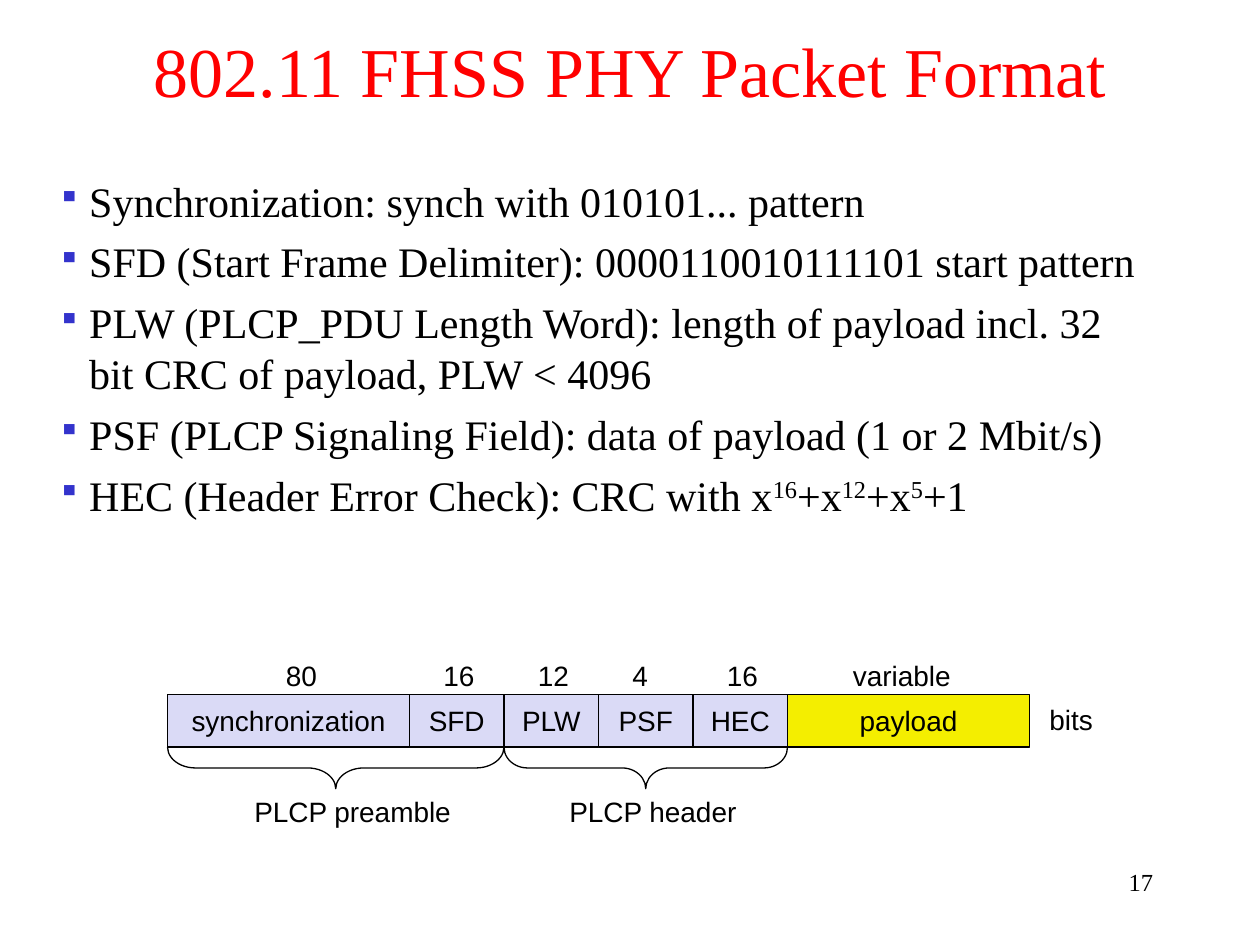
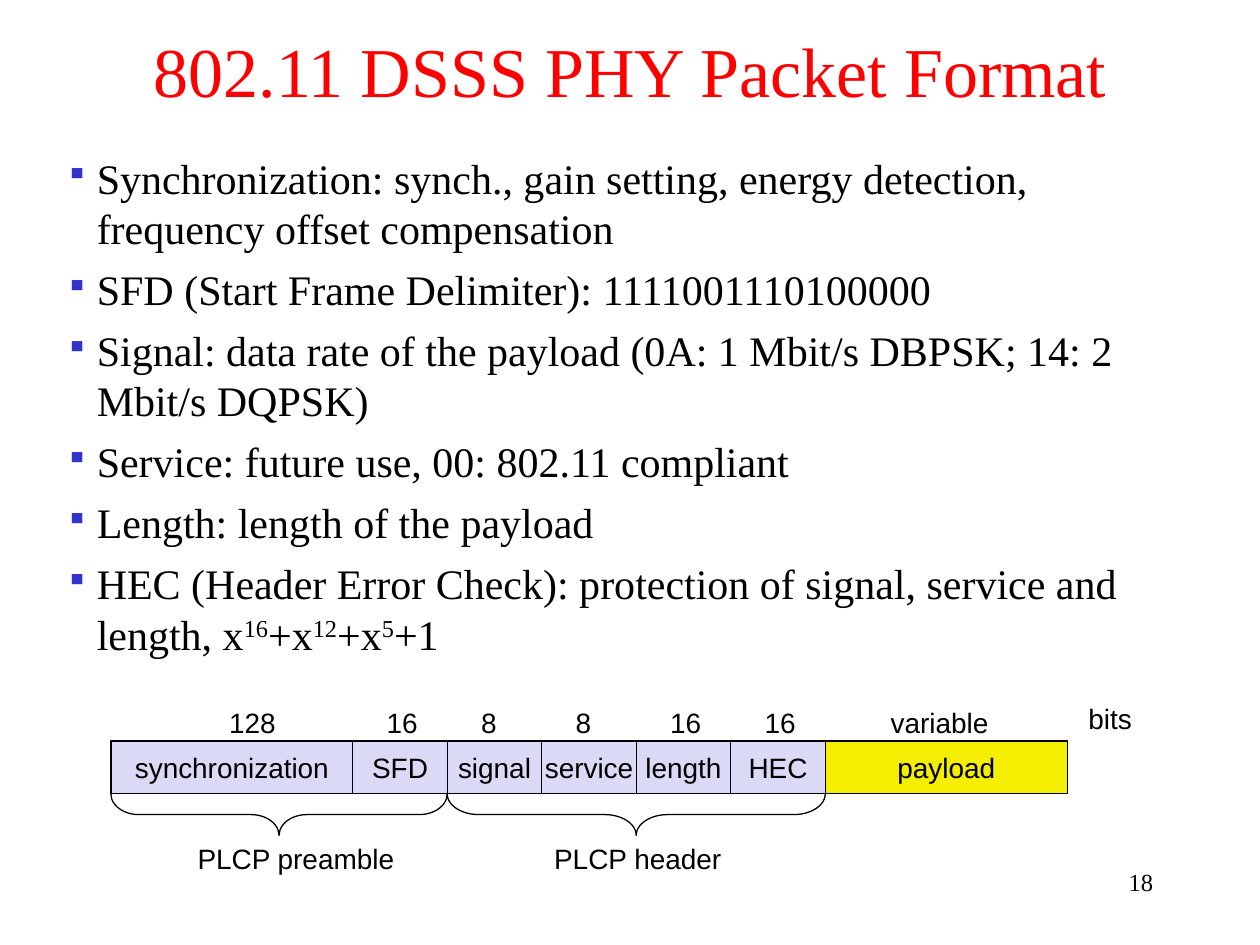
from pptx import Presentation
from pptx.dml.color import RGBColor
from pptx.enum import shapes, text
from pptx.oxml import parse_xml
from pptx.oxml.ns import nsdecls
from pptx.util import Inches, Pt

BLACK = RGBColor(0, 0, 0)
TITLE_RED = RGBColor(0xFF, 0, 0)
BULLET_BLUE = RGBColor(0x33, 0x33, 0xCC)
HEADER_LILAC = RGBColor(0xDA, 0xDA, 0xF6)
PAYLOAD_YELLOW = RGBColor(0xF4, 0xEE, 0)
SERIF, SANS = "Times New Roman", "Arial"

WIDE, NARROW, FIELD_HEIGHT = 1.92, 0.75, 0.42
BRACE_DEPTH = 0.33
LABEL_WIDTHS = {"variable": 0.98, "bits": 0.55, "PLCP preamble": 1.76, "PLCP header": 1.53}

FHSS = {
    "title": "802.11 FHSS PHY Packet Format",
    "number": 17,
    "body": (0.36, 1.34, 8.89, 3.01),
    "bullets": [
        "Synchronization: synch with 010101... pattern",
        "SFD (Start Frame Delimiter): 0000110010111101 start pattern",
        "PLW (PLCP_PDU Length Word): length of payload incl. 32 bit CRC of payload, PLW < 4096",
        "PSF (PLCP Signaling Field): data of payload (1 or 2 Mbit/s)",
        "HEC (Header Error Check): CRC with x^16^+x^12^+x^5^+1",
    ],
    "packet": (1.33, 5.51),
    "fields": [("synchronization", "80"), ("SFD", "16"), ("PLW", "12"),
               ("PSF", "4"), ("HEC", "16"), ("payload", "variable")],
    "header_caption": 4.42,
    "bits": (8.23, 5.53),
}
DSSS = {
    "title": "802.11 DSSS PHY Packet Format",
    "number": 18,
    "body": (0.42, 1.16, 9.17, 4.24),
    "bullets": [
        "Synchronization: synch., gain setting, energy detection, frequency offset compensation",
        "SFD (Start Frame Delimiter): 1111001110100000",
        "Signal: data rate of the payload (0A: 1 Mbit/s DBPSK; 14: 2 Mbit/s DQPSK)",
        "Service: future use, 00: 802.11 compliant",
        "Length: length of the payload",
        "HEC (Header Error Check): protection of signal, service and length, x^16^+x^12^+x^5^+1",
    ],
    "packet": (0.88, 5.88),
    "fields": [("synchronization", "128"), ("SFD", "16"), ("signal", "8"), ("service", "8"),
               ("length", "16"), ("HEC", "16"), ("payload", "variable")],
    "header_caption": 4.3,
    "bits": (8.54, 5.52),
}


def style_font(font, size, name=SANS, color=BLACK):
    font.size, font.name = Pt(size), name
    font.color.rgb = color


def add_text(page, words, area, size, name=SANS, color=BLACK,
             align=text.PP_ALIGN.LEFT, anchor=text.MSO_ANCHOR.TOP):
    """Add one line of text in a wrapping box and return its frame."""
    frame = page.shapes.add_textbox(*map(Inches, area)).text_frame
    frame.text = words
    frame.word_wrap = True
    frame.vertical_anchor = anchor
    para = frame.paragraphs[0]
    para.alignment = align
    style_font(para.runs[0].font, size, name, color)
    return frame


def add_label(page, words, left, top):
    width = LABEL_WIDTHS.get(words, 0.2 + 0.125 * len(words))
    frame = add_text(page, words, (left, top, width, 0.37), 16)
    frame.word_wrap = False
    frame.auto_size = text.MSO_AUTO_SIZE.SHAPE_TO_FIT_TEXT


def add_bullets(page, items, area):
    """Write a bulleted list; parts between ^ marks are superscript."""
    frame = page.shapes.add_textbox(*map(Inches, area)).text_frame
    frame.word_wrap = True
    for index, item in enumerate(items):
        para = frame.add_paragraph() if index else frame.paragraphs[0]
        props = para._p.get_or_add_pPr()
        props.set("marL", str(Inches(0.25)))
        props.set("indent", str(-Inches(0.25)))
        for bullet in (f'<a:buClr {nsdecls("a")}><a:srgbClr val="{BULLET_BLUE}"/></a:buClr>',
                       f'<a:buSzPct {nsdecls("a")} val="75000"/>',
                       f'<a:buChar {nsdecls("a")} char="▪"/>'):
            props.append(parse_xml(bullet))
        if index:
            para.space_before = Pt(6)
        for part_index, part in enumerate(item.split("^")):
            span = para.add_run()
            span.text = part
            style_font(span.font, 24, SERIF)
            if part_index % 2:
                span._r.get_or_add_rPr().set("baseline", "30000")


def add_field(page, name, left, top, width):
    box = page.shapes.add_shape(shapes.MSO_SHAPE.RECTANGLE, Inches(left), Inches(top),
                                Inches(width), Inches(FIELD_HEIGHT))
    box.shadow.inherit = False
    box.fill.solid()
    box.fill.fore_color.rgb = PAYLOAD_YELLOW if name == "payload" else HEADER_LILAC
    box.line.color.rgb = BLACK
    box.line.width = Pt(0.75)
    frame = box.text_frame
    frame.text = name
    frame.word_wrap = False
    frame.vertical_anchor = text.MSO_ANCHOR.MIDDLE
    para = frame.paragraphs[0]
    para.alignment = text.PP_ALIGN.CENTER
    style_font(para.runs[0].font, 16)


def add_brace(page, left, right, top):
    """Draw a brace that opens upwards, as a left brace turned by 270 degrees."""
    length = right - left
    brace = page.shapes.add_shape(
        shapes.MSO_SHAPE.LEFT_BRACE,
        Inches((left + right - BRACE_DEPTH) / 2), Inches(top + (BRACE_DEPTH - length) / 2),
        Inches(BRACE_DEPTH), Inches(length))
    brace.rotation = 270
    brace.adjustments[0] = length / 12 / BRACE_DEPTH
    brace.shadow.inherit = False
    brace.fill.background()
    brace.line.color.rgb = BLACK
    brace.line.width = Pt(0.75)


def add_packet(page, content):
    left, top = content["packet"]
    label_offsets = {"synchronization": 0.84, "payload": 0.42}
    starts = []
    edge = left
    for name, bits in content["fields"]:
        starts.append(edge)
        width = WIDE if name in label_offsets else NARROW
        add_field(page, name, edge, top, width)
        add_label(page, bits, edge + label_offsets.get(name, 0.17), top - 0.33)
        edge += width
    add_label(page, "bits", *content["bits"])

    header_start, payload_start = starts[2], starts[-1]
    bottom = top + FIELD_HEIGHT
    add_brace(page, left, header_start, bottom)
    add_brace(page, header_start, payload_start, bottom)
    add_label(page, "PLCP preamble", left + 0.59, top + 0.75)
    add_label(page, "PLCP header", content["header_caption"], top + 0.75)


def add_page(deck, content):
    page = deck.slides.add_slide(deck.slide_layouts[6])
    add_text(page, content["title"], (0, 0.21, 10, 0.68), 40, SERIF, TITLE_RED,
             text.PP_ALIGN.CENTER, text.MSO_ANCHOR.MIDDLE)
    add_bullets(page, content["bullets"], content["body"])
    add_packet(page, content)
    add_text(page, str(content["number"]), (7.17, 6.83, 2.08, 0.5), 14, SERIF,
             align=text.PP_ALIGN.RIGHT)


def main():
    deck = Presentation()
    deck.slide_width, deck.slide_height = Inches(10), Inches(7.5)
    for content in (FHSS, DSSS):
        add_page(deck, content)
    deck.save("out.pptx")


if __name__ == "__main__":
    main()
